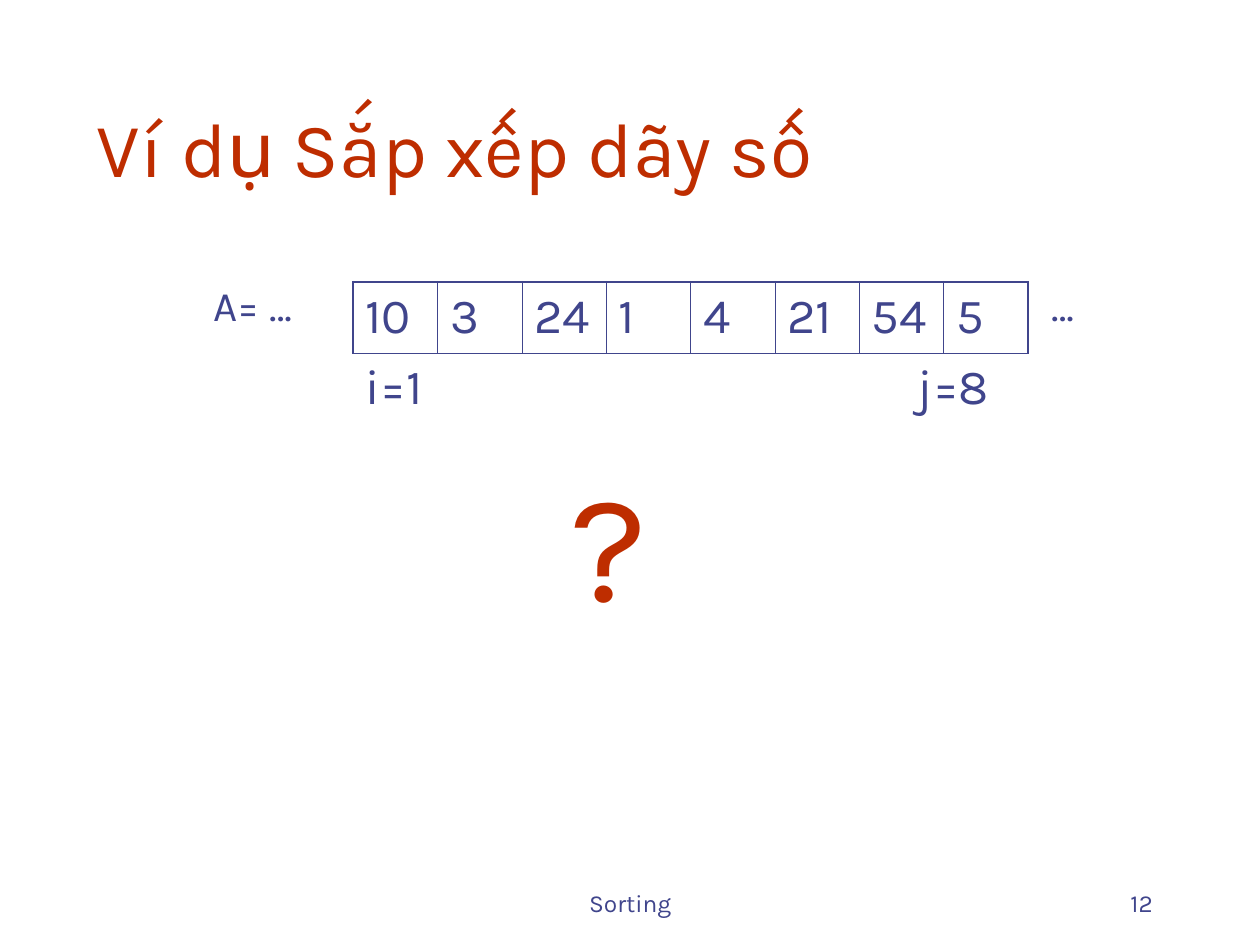
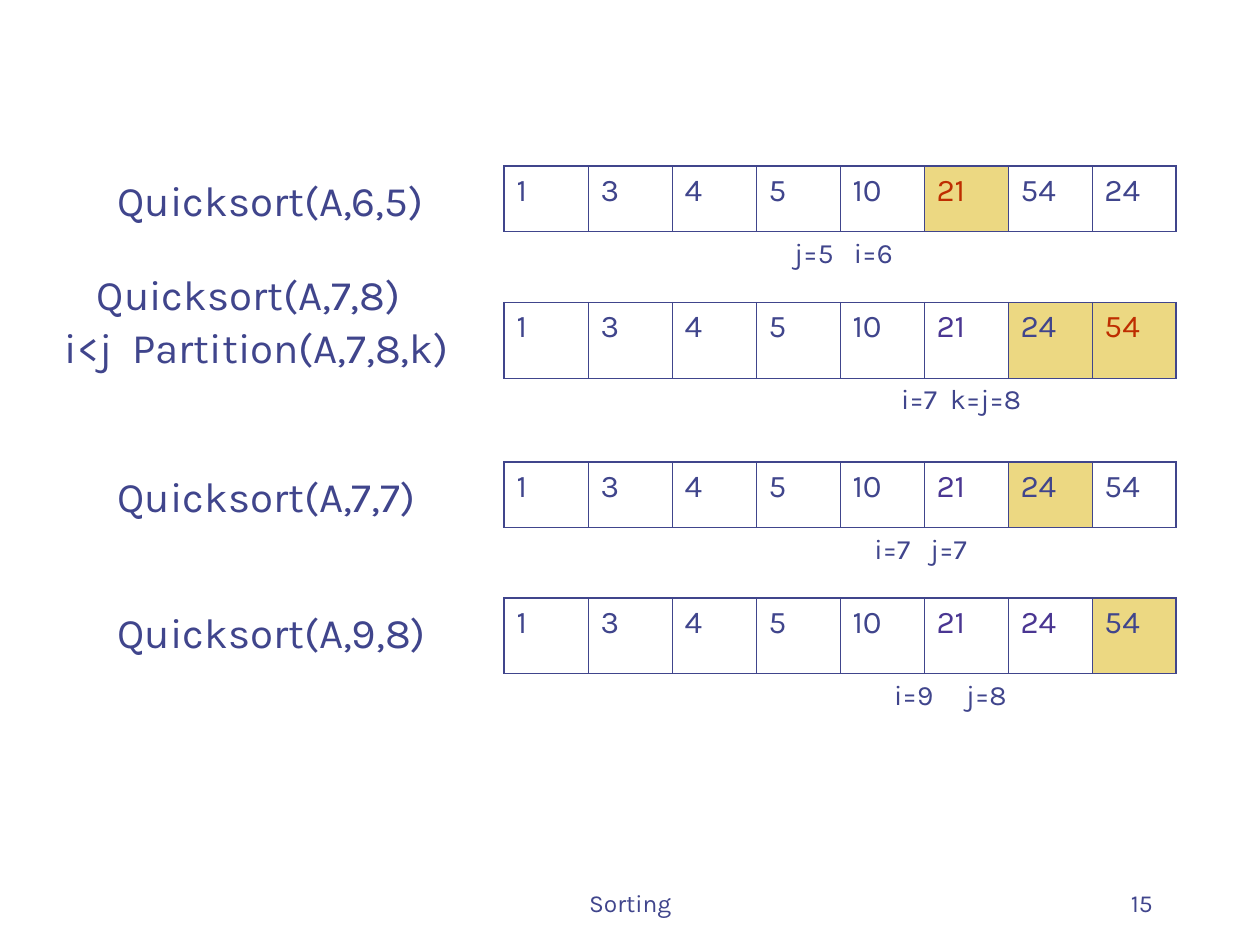
from dataclasses import dataclass

from lxml import etree
from pptx import Presentation
from pptx.dml.color import RGBColor
from pptx.enum.text import MSO_ANCHOR, PP_ALIGN
from pptx.oxml.ns import qn
from pptx.util import Cm, Pt

LEFT, CENTER, RIGHT = PP_ALIGN.LEFT, PP_ALIGN.CENTER, PP_ALIGN.RIGHT
TOP, BOTTOM = MSO_ANCHOR.TOP, MSO_ANCHOR.BOTTOM
TITLE_ONLY, BLANK = 5, 6


@dataclass(frozen=True)
class Theme:
    font: str = "Karla"
    ink: str = "40458C"
    accent: str = "BE2D00"
    settled: str = "4A3692"
    highlight: str = "ECD882"
    title: int = 44
    question: int = 88
    example_value: int = 28
    call: int = 24
    step_value: int = 18
    pointer: int = 16
    footer: int = 14
    outer_line: float = 1.08
    inner_line: float = 0.45


THEME = Theme()


@dataclass(frozen=True)
class Pointers:
    """Index labels under the columns first..last, each at its tab stop."""
    first: int
    last: int
    labels: tuple
    stops: tuple = ()
    size: int = THEME.pointer


@dataclass(frozen=True)
class Step:
    """One Quicksort call with the array it leaves."""
    calls: tuple
    top: float
    cell_height: float
    values: tuple
    colors: dict
    highlights: tuple
    pointers: Pointers


def write(paragraph, text, size, color=THEME.ink, align=LEFT, stops=()):
    if stops:
        tabs = etree.SubElement(paragraph._p.get_or_add_pPr(), qn("a:tabLst"))
        for stop in stops:
            etree.SubElement(tabs, qn("a:tab"), pos=str(Cm(stop)), algn="l")
    paragraph.alignment = align
    run = paragraph.add_run()
    run.text = text
    run.font.name = THEME.font
    run.font.size = Pt(size)
    run.font.bold = False
    run.font.color.rgb = RGBColor.from_string(color)


def add_label(slide, box, text, size, anchor=TOP, **style):
    label = slide.shapes.add_textbox(*map(Cm, box))
    frame = label.text_frame
    frame.word_wrap = True
    frame.vertical_anchor = anchor
    write(frame.paragraphs[0], text, size, **style)


def set_borders(cell, **widths):
    """Draw the sides given as L, R, T or B; clear the others."""
    properties = cell._tc.get_or_add_tcPr()
    for side in "LRTB":
        width = widths.get(side)
        line = etree.SubElement(properties, qn(f"a:ln{side}"), w=str(Pt(width or 0)))
        if width:
            fill = etree.SubElement(line, qn("a:solidFill"))
            etree.SubElement(fill, qn("a:srgbClr"), val=THEME.ink)
        else:
            etree.SubElement(line, qn("a:noFill"))


def add_array(slide, box, values, cell_height, size, pointers, colors=None, highlights=()):
    """Array cells in the upper row, index pointers in the open lower row."""
    left, top, width, height = box
    count = len(values)
    frame = slide.shapes.add_table(2, count, Cm(left), Cm(top), Cm(width), Cm(height))
    table = frame.table
    table.first_row = table.horz_banding = False
    table.rows[0].height = Cm(cell_height)
    table.rows[1].height = Cm(height - cell_height)
    outer, inner = THEME.outer_line, THEME.inner_line
    for column, value in enumerate(values):
        table.columns[column].width = Cm(width / count)
        cell, below = table.cell(0, column), table.cell(1, column)
        write(cell.text_frame.paragraphs[0], str(value), size,
              color=(colors or {}).get(column, THEME.ink))
        set_borders(cell, T=outer, B=inner,
                    L=outer if column == 0 else inner,
                    R=outer if column == count - 1 else inner)
        if column in highlights:
            cell.fill.solid()
            cell.fill.fore_color.rgb = RGBColor.from_string(THEME.highlight)
        else:
            cell.fill.background()
        set_borders(below, T=inner)
        below.fill.background()
    for group in pointers:
        cell = table.cell(1, group.first)
        cell.merge(table.cell(1, group.last))
        lead = "\t" if group.stops else ""
        write(cell.text_frame.paragraphs[0], lead + "\t".join(group.labels), group.size,
              stops=group.stops)


def add_title(slide, box, text):
    title = slide.shapes.title
    title.left, title.top, title.width, title.height = map(Cm, box)
    title.text_frame.vertical_anchor = BOTTOM
    write(title.text_frame.paragraphs[0], text, THEME.title, color=THEME.accent)


def add_footer(slide, box, number):
    left, top, width, height = box
    add_label(slide, (left, top, 8.05, height), "Sorting", THEME.footer,
              anchor=BOTTOM, align=CENTER)
    number_width = 5.28
    add_label(slide, (left + width - number_width, top, number_width, height), str(number),
              THEME.footer, anchor=BOTTOM, align=RIGHT)


def new_slide(deck, layout, number):
    slide = deck.slides.add_slide(deck.slide_layouts[layout])
    add_footer(slide, (8.68, 17.35, 14.81, 1.27), number)
    return slide


def build_example(deck):
    slide = new_slide(deck, TITLE_ONLY, 12)
    add_title(slide, (1.7, 0.84, 21.59, 3.18), "Ví dụ Sắp xếp dãy số")
    size = THEME.example_value
    add_array(slide, (7.12, 5.68, 13.6, 2.88), (10, 3, 24, 1, 4, 21, 54, 5), 1.44, size,
              [Pointers(0, 1, ("i=1",), size=size),
               Pointers(6, 7, ("j=8",), (0.93,), size)])
    add_label(slide, (6.14, 8.89, 12.27, 3.99), "?", THEME.question,
              color=THEME.accent, align=CENTER)
    add_label(slide, (2.34, 5.51, 3.81, 1.27), "A= …", THEME.call, align=RIGHT)
    add_label(slide, (20.95, 5.51, 3.18, 1.27), "…", THEME.call)


def add_step(slide, box, step):
    left, top, width, height = box
    array_width = 13.55
    for dx, dy, text, stops in step.calls:
        add_label(slide, (left + dx, top + dy, 8.89, 1.27), text, THEME.call, stops=stops)
    add_array(slide, (left + width - array_width, top, array_width, height), step.values,
              step.cell_height, THEME.step_value, [step.pointers],
              colors=step.colors, highlights=step.highlights)


def build_steps(deck):
    slide = new_slide(deck, BLANK, 15)
    low, tall, pointer_height = 1.31, 1.52, 0.94
    call_dx, call_dy = 1.06, 0.04
    sorted_values = (1, 3, 4, 5, 10, 21, 24, 54)
    pivot, settled = THEME.accent, THEME.settled
    steps = [
        Step(((call_dx, call_dy, "Quicksort(A,6,5)", ()),), 3.35, low,
             (1, 3, 4, 5, 10, 21, 54, 24), {5: pivot}, (5,),
             Pointers(0, 7, ("j=5", "i=6"), (5.6, 6.8))),
        Step(((0.64, -0.81, "Quicksort(A,7,8)", ()),
              (0, 0.25, "i<j\tPartition(A,7,8,k)", (1.36,))), 6.1, tall,
             sorted_values, {5: settled, 7: pivot}, (6, 7),
             Pointers(0, 7, ("i=7", "k=j=8"), (7.75, 8.74))),
        Step(((call_dx, call_dy, "Quicksort(A,7,7)", ()),), 9.32, low,
             sorted_values, {5: settled}, (6,),
             Pointers(0, 7, ("i=7", "j=7"), (7.21, 8.34))),
        Step(((call_dx, call_dy, "Quicksort(A,9,8)", ()),), 12.06, tall,
             sorted_values, {5: settled, 6: settled}, (7,),
             Pointers(0, 7, ("i=9", "j=8"), (7.61, 9.06))),
    ]
    for step in steps:
        add_step(slide, (1.06, step.top, 22.65, step.cell_height + pointer_height), step)


def main():
    deck = Presentation()
    deck.slide_width, deck.slide_height = Cm(25.4), Cm(19.05)
    build_example(deck)
    build_steps(deck)
    deck.save("out.pptx")


if __name__ == "__main__":
    main()
